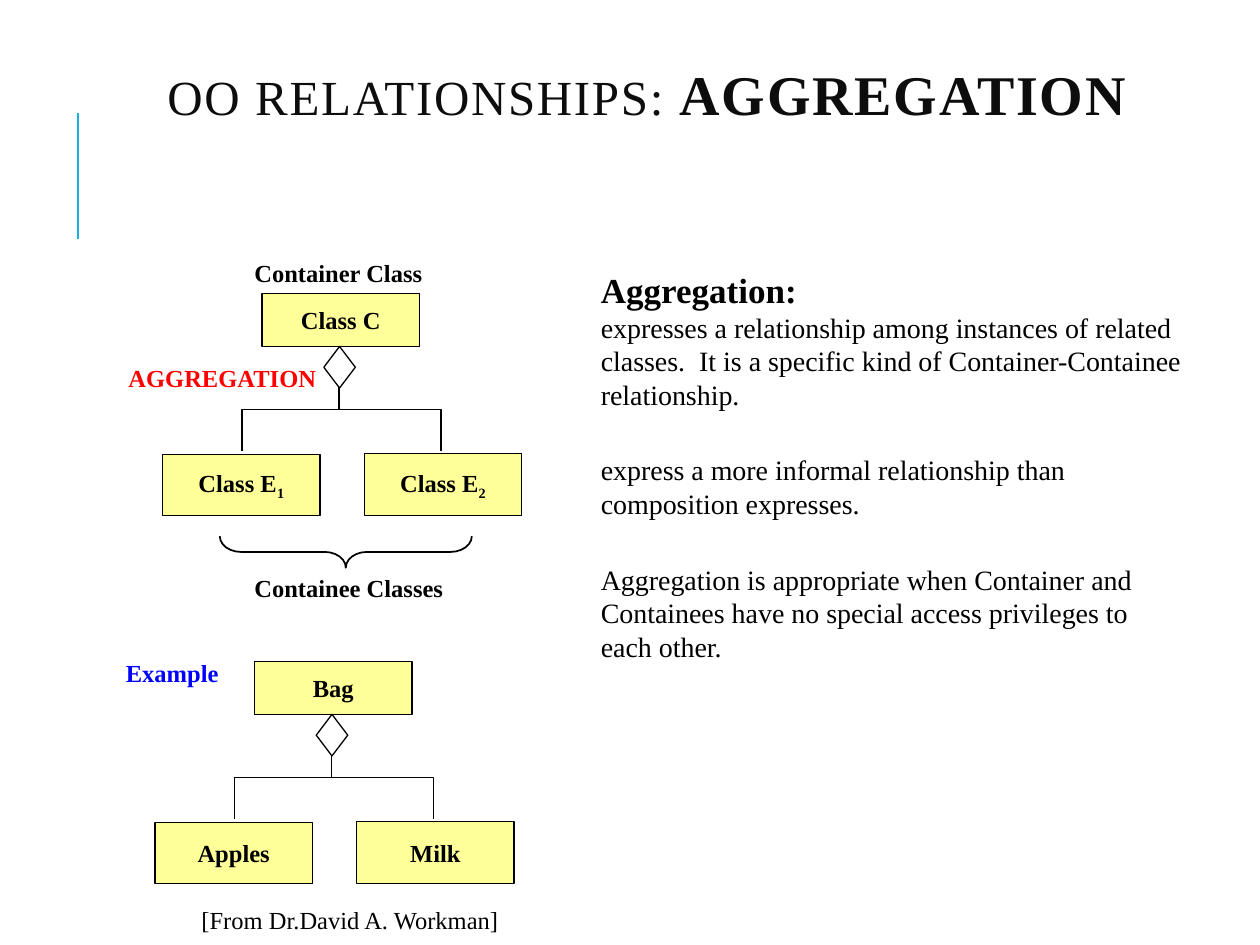
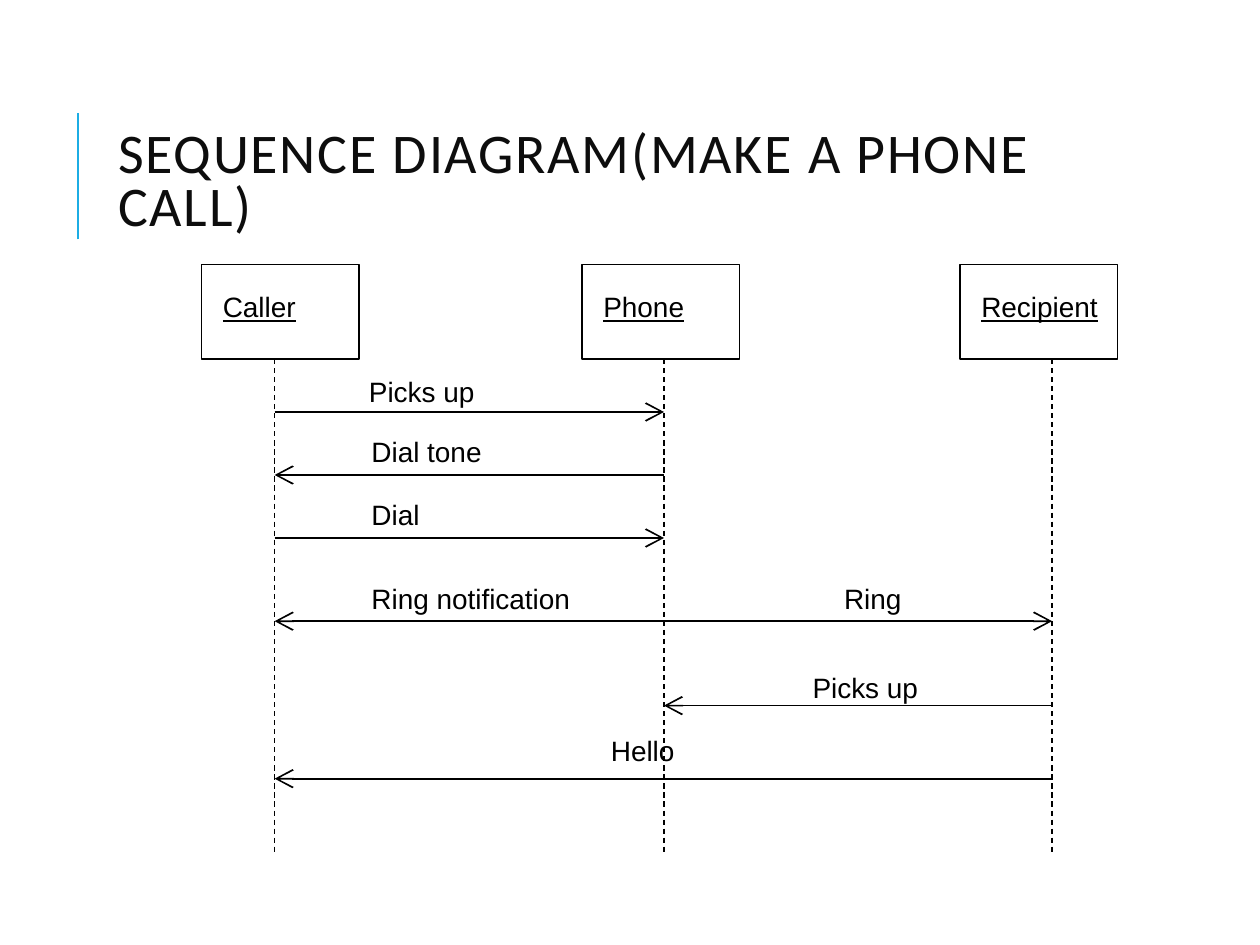
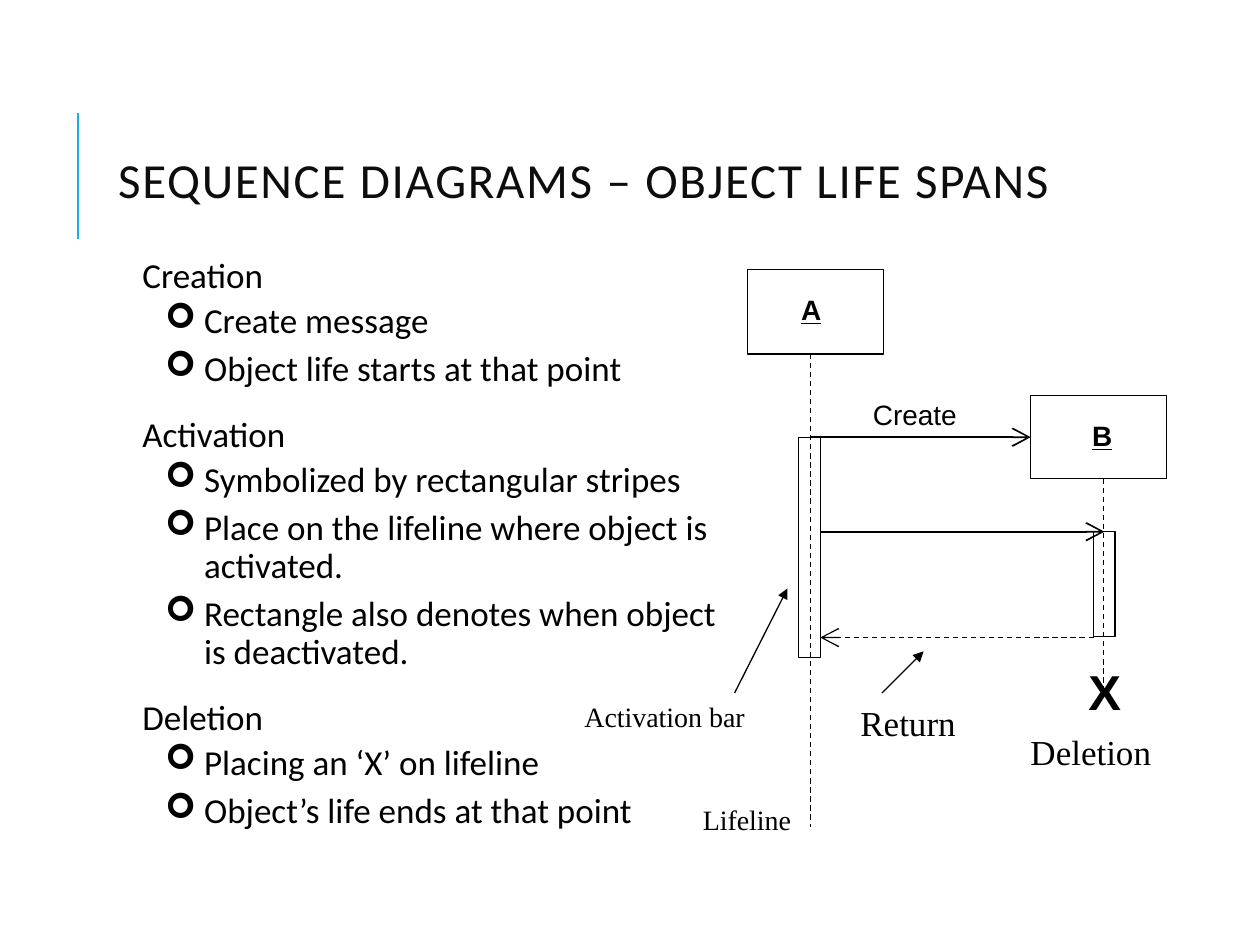
from pptx import Presentation
from pptx.dml.color import RGBColor
from pptx.enum.dml import MSO_LINE
from pptx.enum.shapes import MSO_CONNECTOR, MSO_SHAPE
from pptx.enum.text import MSO_ANCHOR, PP_ALIGN
from pptx.oxml.ns import qn
from pptx.util import Inches, Pt
from lxml import etree

RECT, DIAMOND, BRACE = MSO_SHAPE.RECTANGLE, MSO_SHAPE.DIAMOND, MSO_SHAPE.LEFT_BRACE
STRAIGHT, DASH = MSO_CONNECTOR.STRAIGHT, MSO_LINE.DASH
MIDDLE, CENTER = MSO_ANCHOR.MIDDLE, PP_ALIGN.CENTER
TOP, LEFT = 0, 1  # connection sites

BLACK, INK, ACCENT = "000000", "0D0D0D", "1CADE4"
YELLOW, RED, BLUE = "FFFF99", "FF0000", "0000FF"
SERIF, SANS, BODY = "Times New Roman", "Arial", "Calibri"
TITLE_BOX = (0.84, 0.64, 7.97, 1.64)
SLACK = 0.15  # spare label width, so that no word breaks


def paint(hue):
    return RGBColor.from_string(hue)


def write(par, text, size, font=SERIF, hue=BLACK, bold=False, under=False):
    run = par.add_run()
    run.text = text
    face = run.font
    face.name, face.size, face.color.rgb = font, Pt(size), paint(hue)
    face.bold, face.underline = bold, under
    return run


def text_box(slide, x, y, w, h):
    frame = slide.shapes.add_textbox(*map(Inches, (x, y, w, h))).text_frame
    frame.word_wrap = True
    return frame


def label(slide, text, x, y, w, size, h=0.37, gap=None, **look):
    par = text_box(slide, x, y, w + SLACK, h).paragraphs[0]
    if gap:
        par.line_spacing = gap
    write(par, text, size, **look)


def shape(slide, kind, x, y, w, h, fill=None, width=0.75):
    item = slide.shapes.add_shape(kind, *map(Inches, (x, y, w, h)))
    edge(item, fill, width)
    return item


def edge(item, fill=None, width=0.75):
    item.shadow.inherit = False
    if fill:
        item.fill.solid()
        item.fill.fore_color.rgb = paint(fill)
    else:
        item.fill.background()
    item.line.color.rgb = paint(BLACK)
    item.line.width = Pt(width)


def line(slide, x1, y1, x2, y2, width=0.75, hue=BLACK, dash=False, tip=None):
    link = slide.shapes.add_connector(STRAIGHT, *map(Inches, (x1, y1, x2, y2)))
    link.line.color.rgb = paint(hue)
    link.line.width = Pt(width)
    if dash:
        link.line.dash_style = DASH
    props = link._element.spPr
    if tip:
        size = "lg" if tip == "arrow" else "med"
        stroke = props.find(qn("a:ln"))
        etree.SubElement(stroke, qn("a:tailEnd"), type=tip, w=size, len=size)
    etree.SubElement(props, qn("a:effectLst"))
    return link


def new_slide(deck, runs, box=TITLE_BOX, font=BODY):
    """Blank slide with the accent bar and a title of (text, size, bold) runs."""
    slide = deck.slides.add_slide(deck.slide_layouts[6])
    line(slide, 0.62, 1.9, 0.62, 0.9, 1.5, ACCENT)
    frame = text_box(slide, *box)
    frame.vertical_anchor = MIDDLE
    par = frame.paragraphs[0]
    par.line_spacing = 0.8
    for text, size, bold in runs:
        run = write(par, text, size, font, INK, bold)
        run._r.get_or_add_rPr().set("spc", "100")
    return slide


# Aggregation slide

def class_box(slide, name, x, y, h, sub=""):
    frame = shape(slide, RECT, x, y, 1.25, h, YELLOW).text_frame
    frame.word_wrap = False
    frame.vertical_anchor = MIDDLE
    par = frame.paragraphs[0]
    par.alignment = CENTER
    write(par, name, 14, bold=True)
    if sub:
        run = write(par, sub, 14, bold=True)
        run._r.get_or_add_rPr().set("baseline", "-25000")


def tree(slide, x, y, head, kids):
    """A container above its two parts; x, y is the top left corner."""
    class_box(slide, head, x + 0.79, y, 0.42)
    for i, (name, sub) in enumerate(kids):
        class_box(slide, name, x + 1.6 * i, y + 1.28 - 0.01 * i, 0.48 + 0.01 * i, sub)
    # Fork
    left, right, top, low = x + 0.63, x + 2.21, y + 0.92, y + 1.25
    path = slide.shapes.build_freeform(Inches(left), Inches(low))
    spots = [(left, top), (right, top), (right, low)]
    path.add_line_segments([(Inches(a), Inches(b)) for a, b in spots], close=False)
    edge(path.convert_to_shape())
    # Diamond and stem
    line(slide, x + 1.4, y + 0.74, x + 1.4, top)
    shape(slide, DIAMOND, x + 1.28, y + 0.42, 0.25, 0.33)


def essay(slide, x, y, w, h):
    frame = text_box(slide, x, y, w, h)
    write(frame.paragraphs[0], "Aggregation:", 20, bold=True)
    parts = [
        "expresses a relationship among instances of related classes.  "
        "It is a specific kind of Container-Containee relationship.",
        "express a more informal relationship than composition expresses.",
        "Aggregation is appropriate when Container and Containees have no "
        "special access privileges to each other.",
    ]
    for i, text in enumerate(parts):
        par = frame.add_paragraph()
        if i:
            par.space_before = Pt(24)
        write(par, text, 16)


def aggregation(deck):
    runs = [("OO RELATIONSHIPS: ", 28, False), ("AGGREGATION", 32, True)]
    slide = new_slide(deck, runs, (1.23, 0.5, 8.5, 0.58), SERIF)
    tree(slide, 1.29, 2.33, "Class C", [("Class E", "1"), ("Class E", "2")])
    tree(slide, 1.23, 5.25, "Bag", [("Apples", ""), ("Milk", "")])
    brace = shape(slide, BRACE, 2.62, 3.38, 0.25, 2, width=1)
    brace.rotation = 270
    brace.adjustments[0] = 0.67
    for text, x, y, w, hue in [
        ("AGGREGATION", 0.92, 2.83, 1.7, RED),
        ("Container Class", 1.92, 2, 1.54, BLACK),
        ("Containee Classes", 1.92, 4.5, 1.7, BLACK),
        ("Example", 0.9, 5.17, 0.94, BLUE),
    ]:
        label(slide, text, x, y, w, 14, 0.33, hue=hue, bold=True)
    essay(slide, 4.67, 2.08, 4.83, 3.24)
    label(slide, "[From Dr.David A. Workman]", 1.5, 7.13, 2.94, 14, 0.33)


# Phone call slide

def call_chart(slide, x, y, h):
    # Actors and lifelines
    lanes = [x + 0.58, x + 3.67, x + 6.75]
    actors = [("Caller", 0, 0.78), ("Phone", 3.02, 0.84), ("Recipient", 6.02, 1.12)]
    for (name, dx, w), lane in zip(actors, lanes):
        shape(slide, RECT, x + dx, y, 1.25, 0.75)
        label(slide, name, x + dx + 0.07, y + 0.15, w, 16, font=SANS, under=True)
        line(slide, lane, y + 0.75, lane, y + h, dash=True)
    # Messages: text, label left, top and width, from lane, to lane, height
    for text, dx, dy, w, start, end, row in [
        ("Picks up", 1.23, 0.82, 1.04, 0, 1, 1.17),
        ("Dial tone", 1.25, 1.3, 1.08, 1, 0, 1.67),
        ("Dial", 1.25, 1.8, 0.58, 0, 1, 2.17),
        ("Ring notification", 1.25, 2.47, 1.78, 1, 0, 2.83),
        ("Ring", 5, 2.47, 0.66, 1, 2, 2.83),
        ("Picks up", 4.75, 3.17, 1.04, 2, 1, 3.5),
        ("Hello", 3.15, 3.67, 0.7, 2, 0, 4.08),
    ]:
        line(slide, lanes[start], y + row, lanes[end], y + row, 1, tip="arrow")
        label(slide, text, x + dx, y + dy, w, 16, font=SANS)


def phone_call(deck):
    slide = new_slide(deck, [("SEQUENCE DIAGRAM(MAKE A PHONE CALL)", 32, False)])
    call_chart(slide, 1.6, 2.1, 4.67)


# Life span slide

def outline(slide, x, y, w, h):
    frame = text_box(slide, x, y, w, h)
    frame.margin_left = frame.margin_right = Inches(0.05)
    topics = {
        "Creation": ["Create message", "Object life starts at that point"],
        "Activation": [
            "Symbolized by rectangular stripes",
            "Place on the lifeline where object is activated.",
            "Rectangle also denotes when object is deactivated.",
        ],
        "Deletion": ["Placing an ‘X’ on lifeline", "Object’s life ends at that point"],
    }
    rows = []
    for topic, points in topics.items():
        rows += [(topic, False)] + [(point, True) for point in points]
    for i, (text, point) in enumerate(rows):
        par = frame.add_paragraph() if i else frame.paragraphs[0]
        par.line_spacing = 0.9
        par.space_before = Pt(0 if i == 0 else 2 if point else 12)
        par.space_after = Pt(4 if point else 2)
        props = par._p.get_or_add_pPr()
        props.set("marL", str(Inches(0.81 if point else 0.32)))
        if point:
            props.set("indent", str(Inches(-0.31)))
            etree.SubElement(props, qn("a:buFont"), typeface="Wingdings")
            etree.SubElement(props, qn("a:buChar"), char="➢")
        write(par, text, 20, BODY)


def life_chart(slide, x, y):
    # Objects and lifelines
    shape(slide, RECT, x, y, 1.08, 0.67)
    made = shape(slide, RECT, x + 2.25, y + 1, 1.08, 0.66)
    label(slide, "A", x + 0.33, y + 0.13, 0.36, 16, font=SANS, bold=True, under=True)
    label(slide, "B", x + 2.64, y + 1.13, 0.36, 16, font=SANS, bold=True, under=True)
    line(slide, x + 0.5, y + 0.67, x + 0.5, y + 4.42, dash=True)
    line(slide, x + 2.83, y + 1.66, x + 2.83, y + 3.33, dash=True)
    # Activation bars
    long_bar = shape(slide, RECT, x + 0.41, y + 1.33, 0.17, 1.75)
    short_bar = shape(slide, RECT, x + 2.75, y + 2.08, 0.17, 0.83)
    # Messages
    make = line(slide, x + 0.5, y + 1.33, x + 2.25, y + 1.33, 1, tip="arrow")
    make.begin_connect(long_bar, TOP)
    make.end_connect(made, LEFT)
    call = line(slide, x + 0.58, y + 2.08, x + 2.83, y + 2.08, 1, tip="arrow")
    call.end_connect(short_bar, TOP)
    line(slide, x + 2.75, y + 2.92, x + 0.58, y + 2.92, dash=True, tip="arrow")
    label(slide, "Create", x + 0.9, y + 1, 0.87, 16, 0.34, 0.9, font=SANS)
    label(slide, "X", x + 2.61, y + 3.11, 0.46, 28, 0.52, 0.9, font=SANS, bold=True)
    # Notes with pointers
    for text, dx, dy, w, size in [
        ("Activation bar", -1.39, 3.36, 1.48, 16),
        ("Lifeline", -0.45, 4.18, 0.91, 16),
        ("Return", 0.8, 3.38, 0.96, 20),
        ("Deletion", 2.15, 3.61, 1.16, 20),
    ]:
        label(slide, text, x + dx, y + dy, w, size, 0.43 if size == 20 else 0.37)
    line(slide, x - 0.1, y + 3.36, x + 0.32, y + 2.53, tip="triangle")
    line(slide, x + 1.07, y + 3.36, x + 1.4, y + 3.03, tip="triangle")


def life_spans(deck):
    slide = new_slide(deck, [("SEQUENCE DIAGRAMS – OBJECT LIFE SPANS", 28, False)])
    outline(slide, 0.76, 2, 5.15, 4.75)
    life_chart(slide, 5.93, 2.14)


def main():
    deck = Presentation()
    deck.slide_width, deck.slide_height = Inches(10), Inches(7.5)
    aggregation(deck)
    phone_call(deck)
    life_spans(deck)
    deck.save("out.pptx")


if __name__ == "__main__":
    main()
